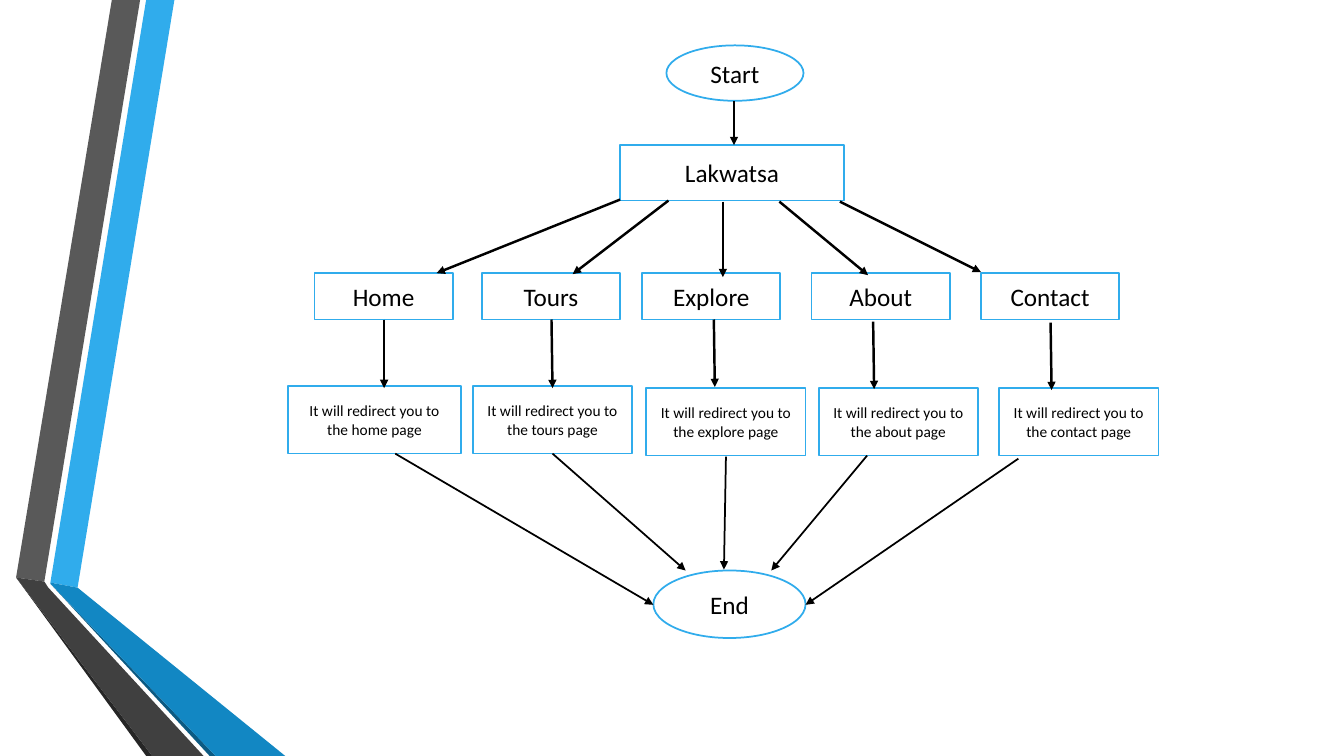
"""Build a site navigation flowchart slide with a folded ribbon on the left."""
from dataclasses import dataclass

from lxml.etree import SubElement
from pptx import Presentation
from pptx.dml.color import RGBColor
from pptx.enum.shapes import MSO_CONNECTOR, MSO_SHAPE
from pptx.enum.text import MSO_ANCHOR, PP_ALIGN
from pptx.oxml.ns import qn
from pptx.slide import Slide
from pptx.util import Inches, Pt

Point = tuple[float, float]

COLORS = {
    "white": "FFFFFF",
    "black": "000000",
    "blue": "30ACEC",
    "blue fold": "1287C3",
    "blue edge": "0C5A82",
    "gray": "595959",
    "gray fold": "404040",
    "gray edge": "262626",
}
FRAME_FORMAT = {"word_wrap": True, "vertical_anchor": MSO_ANCHOR.MIDDLE}
FONT_FORMAT = {"name": "Calibri", "bold": False}


@dataclass(frozen=True)
class Ribbon:
    color: str
    points: list[Point]


@dataclass(frozen=True)
class Node:
    text: str
    left: float
    top: float
    width: float
    height: float
    shape: MSO_SHAPE = MSO_SHAPE.RECTANGLE
    size: int = 18


@dataclass(frozen=True)
class Arrow:
    start: Point
    end: Point
    weight: float = 1.75


@dataclass(frozen=True)
class Branch:
    name: str
    left: float
    detail_left: float
    detail_top: float
    detail_width: float
    from_site: Arrow
    to_detail: Arrow
    to_end: Arrow


RIBBONS = [
    Ribbon("blue", [(0.5, 5.78), (0.77, 5.83), (1.73, 0), (1.45, 0)]),
    Ribbon("gray", [(1.39, 0), (1.11, 0), (0.16, 5.73), (0.44, 5.77)]),
    Ribbon("gray edge", [(0.16, 5.73), (1.45, 7.5), (1.51, 7.5)]),
    Ribbon("blue edge", [(0.5, 5.79), (2.08, 7.5), (2.14, 7.5)]),
    Ribbon("blue fold", [(0.5, 5.78), (0.5, 5.79), (2.14, 7.5), (2.83, 7.5), (0.77, 5.83)]),
    Ribbon("gray fold", [(2.02, 7.5), (0.48, 5.83), (0.44, 5.77), (0.16, 5.73), (1.51, 7.5)]),
]
TERMINALS = [
    Node("Start", 6.61, 0.45, 1.36, 0.55, MSO_SHAPE.OVAL),
    Node("Lakwatsa", 6.15, 1.44, 2.22, 0.55),
    Node("End", 6.48, 5.66, 1.51, 0.67, MSO_SHAPE.OVAL),
]
START_ARROW = Arrow((7.28, 1), (7.28, 1.44))
BRANCHES = [
    Branch("Home", 3.12, 2.86, 3.83, 1.71,
           Arrow((6.15, 1.98), (4.33, 2.71)),
           Arrow((3.81, 3.17), (3.81, 3.85)),
           Arrow((3.92, 4.5), (6.48, 6), 1.25)),
    Branch("Tours", 4.78, 4.69, 3.83, 1.58,
           Arrow((6.63, 1.99), (5.68, 2.72)),
           Arrow((5.47, 3.17), (5.48, 3.85)),
           Arrow((5.48, 4.5), (6.8, 5.66), 1.25)),
    Branch("Explore", 6.37, 6.41, 3.85, 1.58,
           Arrow((7.17, 2), (7.17, 2.75)),
           Arrow((7.08, 3.17), (7.09, 3.84)),
           Arrow((7.2, 4.53), (7.18, 5.65), 1.25)),
    Branch("About", 8.05, 8.12, 3.85, 1.58,
           Arrow((7.73, 2), (8.61, 2.73)),
           Arrow((8.66, 3.19), (8.67, 3.86)),
           Arrow((8.6, 4.52), (7.65, 5.66), 1.25)),
    Branch("Contact", 9.73, 9.91, 3.85, 1.58,
           Arrow((8.33, 2), (9.73, 2.7)),
           Arrow((10.42, 3.2), (10.43, 3.87)),
           Arrow((10.1, 4.55), (7.99, 6), 1.25)),
]


def color(name: str) -> RGBColor:
    return RGBColor.from_string(COLORS[name])


def draw_ribbon(page: Slide, ribbon: Ribbon) -> None:
    corners = [(Inches(x), Inches(y)) for x, y in ribbon.points]
    builder = page.shapes.build_freeform(*corners[0])
    builder.add_line_segments(corners[1:], close=True)
    shape = builder.convert_to_shape()
    shape.shadow.inherit = False
    shape.fill.solid()
    shape.fill.fore_color.rgb = color(ribbon.color)
    shape.line.fill.background()


def draw_node(page: Slide, node: Node) -> None:
    place = map(Inches, (node.left, node.top, node.width, node.height))
    box = page.shapes.add_shape(node.shape, *place)
    box.shadow.inherit = False
    box.fill.solid()
    box.fill.fore_color.rgb = color("white")
    box.line.color.rgb = color("blue")
    box.line.width = Pt(1.25)
    for key, value in FRAME_FORMAT.items():
        setattr(box.text_frame, key, value)
    para = box.text_frame.paragraphs[0]
    para.alignment = PP_ALIGN.CENTER
    span = para.add_run()
    span.text = node.text
    for key, value in (FONT_FORMAT | {"size": Pt(node.size)}).items():
        setattr(span.font, key, value)
    span.font.color.rgb = color("black")


def draw_arrow(page: Slide, arrow: Arrow) -> None:
    ends = map(Inches, (*arrow.start, *arrow.end))
    connector = page.shapes.add_connector(MSO_CONNECTOR.STRAIGHT, *ends)
    connector.line.color.rgb = color("black")
    connector.line.width = Pt(arrow.weight)
    properties = connector._element.spPr
    SubElement(properties.find(qn("a:ln")), qn("a:tailEnd"), type="triangle")
    SubElement(properties, qn("a:effectLst"))


def draw_branch(page: Slide, branch: Branch) -> None:
    detail = f"It will redirect you to the {branch.name.lower()} page"
    draw_node(page, Node(branch.name, branch.left, 2.71, 1.37, 0.46))
    draw_node(page, Node(detail, branch.detail_left, branch.detail_top,
                         branch.detail_width, 0.67, size=11))
    for arrow in (branch.from_site, branch.to_detail, branch.to_end):
        draw_arrow(page, arrow)


def main() -> None:
    deck = Presentation()
    deck.slide_width = Inches(13.33)
    deck.slide_height = Inches(7.5)
    page = deck.slides.add_slide(deck.slide_layouts[6])
    for ribbon in RIBBONS:
        draw_ribbon(page, ribbon)
    for node in TERMINALS:
        draw_node(page, node)
    draw_arrow(page, START_ARROW)
    for branch in BRANCHES:
        draw_branch(page, branch)
    deck.save("out.pptx")


if __name__ == "__main__":
    main()
